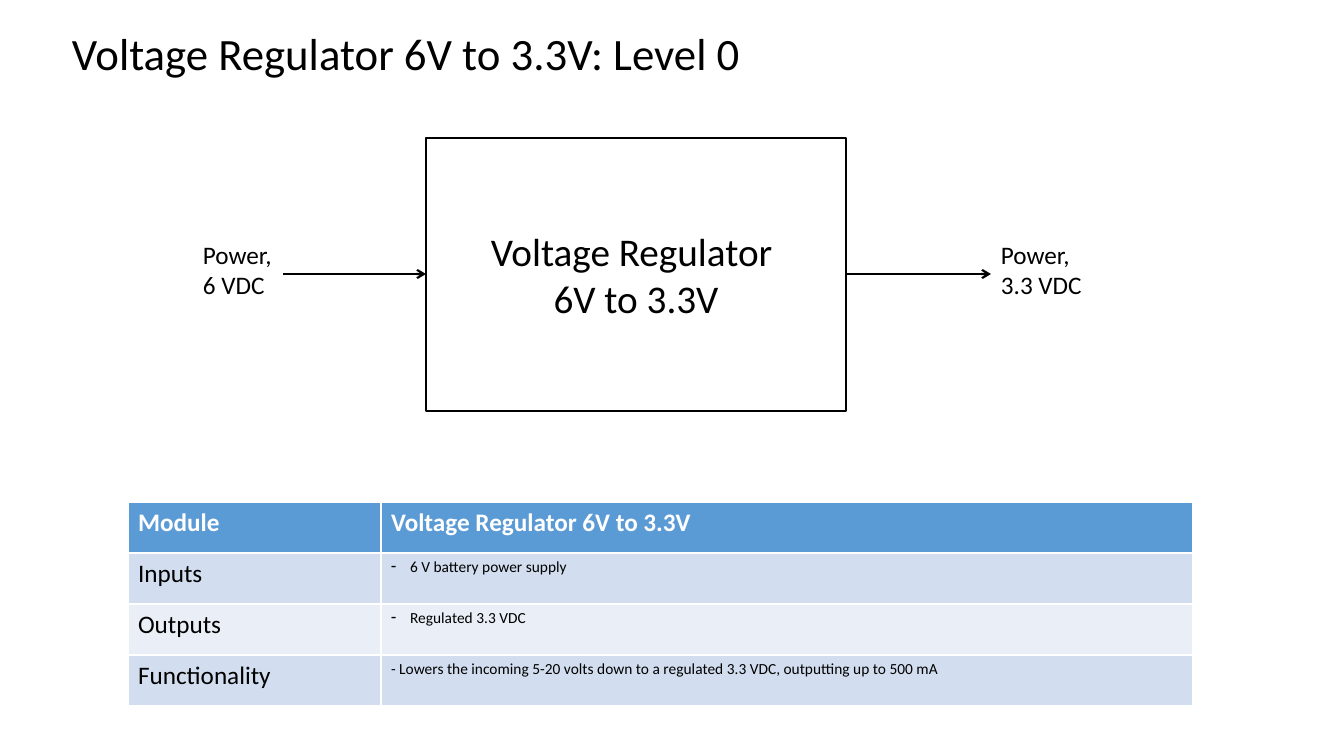
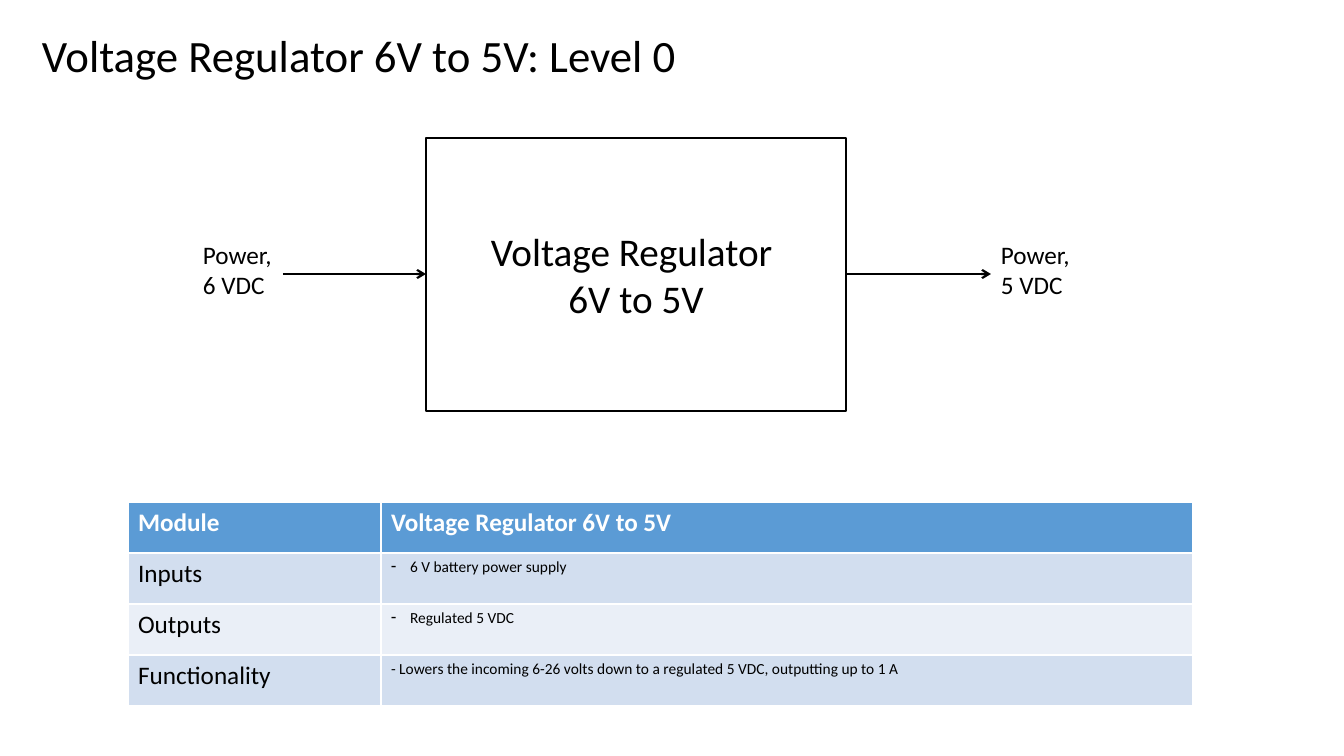
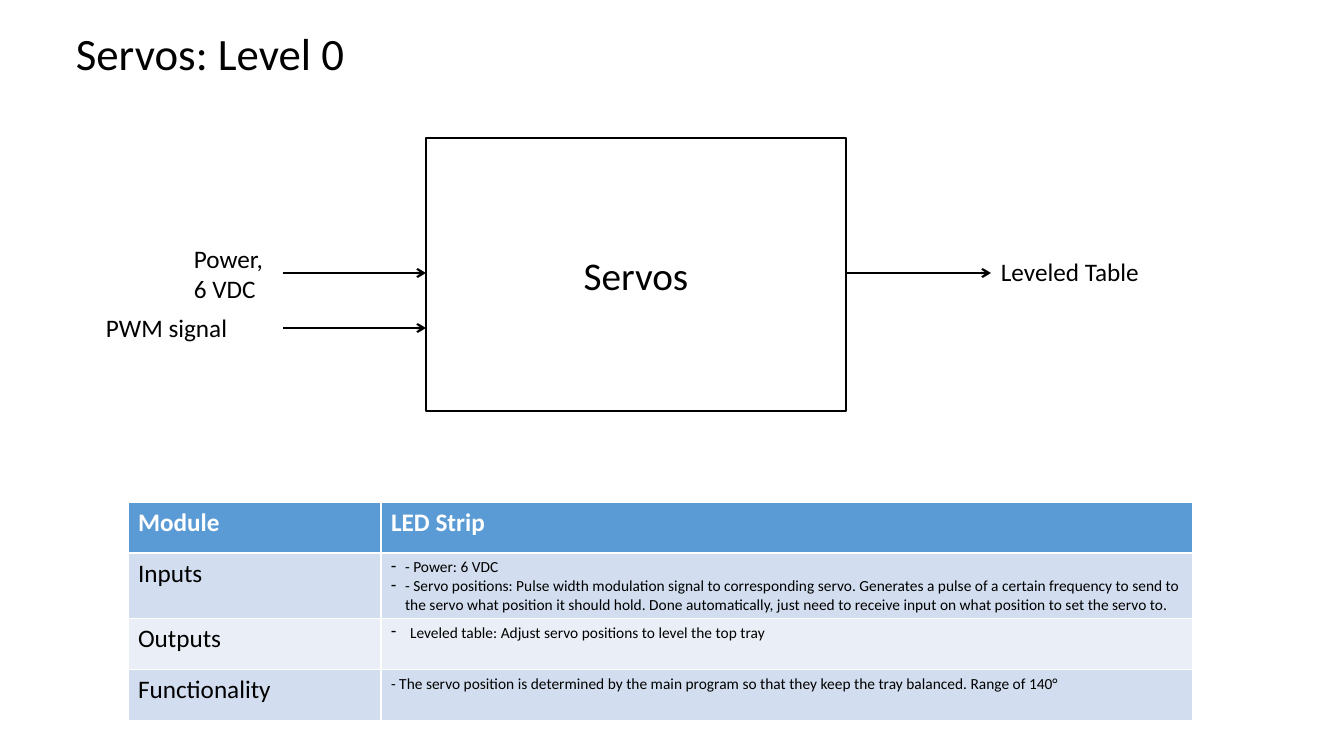
from lxml import etree
from pptx import Presentation
from pptx.dml.color import RGBColor
from pptx.enum.shapes import MSO_CONNECTOR, MSO_SHAPE
from pptx.enum.text import MSO_AUTO_SIZE, PP_ALIGN
from pptx.oxml.ns import qn
from pptx.util import Pt

RECTANGLE = MSO_SHAPE.RECTANGLE
STRAIGHT = MSO_CONNECTOR.STRAIGHT
FIT_SHAPE = MSO_AUTO_SIZE.SHAPE_TO_FIT_TEXT
LEFT, CENTER = PP_ALIGN.LEFT, PP_ALIGN.CENTER

EMU_PER_PIXEL = 914400 / 100.8
FONT = "Calibri"
BLACK, WHITE = "000000", "FFFFFF"
HEADER_FILL = "5B9BD5"
BAND_FILLS = ("EAEFF7", "D2DEEF")

MODULE_BOX = (426, 138, 420, 273)
INPUT_ARROW = (283, 426)
OUTPUT_ARROW = (847, 991)
TABLE_LEFT, TABLE_TOP = 128, 502
COLUMN_WIDTHS = (253, 812)
ROW_HEIGHT = 51
ROW_NAMES = ("Module", "Inputs", "Outputs", "Functionality")


def px(value):
    """Turn pixels into EMU."""
    return round(value * EMU_PER_PIXEL)


def rgb(value):
    """Turn a hex string into a colour."""
    return RGBColor.from_string(value)


def write(frame, text, size=18, color=BLACK, bold=False, align=LEFT, hang=0):
    """Write lines as paragraphs; a hang in pixels gives them dash bullets."""
    for index, line in enumerate(text.split("\n")):
        paragraph = frame.add_paragraph() if index else frame.paragraphs[0]
        paragraph.alignment = align
        run = paragraph.add_run()
        run.text = line
        run.font.name = FONT
        run.font.size = Pt(size)
        run.font.bold = bold
        run.font.color.rgb = rgb(color)
        if hang:
            properties = paragraph._p.get_or_add_pPr()
            properties.set("marL", str(px(hang)))
            properties.set("indent", str(-px(hang)))
            etree.SubElement(properties, qn("a:buChar"), char="-")


def add_label(slide, box, text, wrap=False, **text_format):
    """Add a text box that fits its text."""
    frame = slide.shapes.add_textbox(*map(px, box)).text_frame
    frame.word_wrap = wrap
    frame.auto_size = FIT_SHAPE
    write(frame, text, **text_format)


def add_module(slide, text):
    """Add the outlined box that names the module."""
    shape = slide.shapes.add_shape(RECTANGLE, *map(px, MODULE_BOX))
    shape.shadow.inherit = False
    shape.fill.solid()
    shape.fill.fore_color.rgb = rgb(WHITE)
    shape.line.color.rgb = rgb(BLACK)
    shape.line.width = Pt(1.5)
    write(shape.text_frame, text, size=28, align=CENTER)


def add_arrow(slide, span, y):
    """Add a horizontal arrow across a span."""
    start, end = span
    connector = slide.shapes.add_connector(STRAIGHT, px(start), px(y), px(end), px(y))
    connector.line.color.rgb = rgb(BLACK)
    connector.line.width = Pt(1.5)
    etree.SubElement(connector.line._get_or_add_ln(), qn("a:tailEnd"), type="arrow")
    etree.SubElement(connector._element.spPr, qn("a:effectLst"))


def add_module_table(slide, heading, inputs, outputs, functionality, input_hang=19):
    """Add the table of module name, inputs, outputs and functionality."""
    table = slide.shapes.add_table(
        len(ROW_NAMES), len(COLUMN_WIDTHS), px(TABLE_LEFT), px(TABLE_TOP),
        px(sum(COLUMN_WIDTHS)), px(ROW_HEIGHT * len(ROW_NAMES))).table
    for column, width in zip(table.columns, COLUMN_WIDTHS):
        column.width = px(width)
    details = (heading, inputs, outputs, functionality)
    hangs = (0, input_hang, 19, 0)
    for index, row in enumerate(table.rows):
        row.height = px(ROW_HEIGHT)
        name_cell, detail_cell = row.cells
        for cell in row.cells:
            cell.fill.solid()
            cell.fill.fore_color.rgb = rgb(BAND_FILLS[index % 2] if index else HEADER_FILL)
        name_format = {} if index else {"color": WHITE, "bold": True}
        detail_format = {"size": 11, "hang": hangs[index]} if index else name_format
        write(name_cell.text_frame, ROW_NAMES[index], **name_format)
        write(detail_cell.text_frame, details[index], **detail_format)


def add_slide(presentation, title, title_box, module, wrap_title=False):
    """Add a blank slide with its title and module box."""
    slide = presentation.slides.add_slide(presentation.slide_layouts[6])
    add_label(slide, title_box, title, wrap=wrap_title, size=32)
    add_module(slide, module)
    return slide


def add_regulator_slide(presentation, volts, title_box, output_width, incoming, limit,
                        wrap_title=False):
    """Add the slide of a regulator from 6 V down to the given voltage."""
    conversion = f"6V to {volts}V"
    name = f"Voltage Regulator {conversion}"
    slide = add_slide(presentation, f"{name}: Level 0", title_box,
                      f"Voltage Regulator \n{conversion}", wrap_title)
    add_arrow(slide, INPUT_ARROW, 274)
    add_label(slide, (193, 234, 90, 72), "Power,\n6 VDC")
    add_arrow(slide, OUTPUT_ARROW, 274)
    add_label(slide, (991, 234, output_width, 72), f"Power,\n{volts} VDC")
    add_module_table(
        slide, name, "6 V battery power supply", f"Regulated {volts} VDC",
        f"- Lowers the incoming {incoming} volts down to a regulated {volts} VDC, "
        f"outputting up to {limit}")


def add_servo_slide(presentation):
    """Add the slide of the servos."""
    slide = add_slide(presentation, "Servos: Level 0", (66, 21, 291, 65), "Servos")
    add_arrow(slide, INPUT_ARROW, 273)
    add_label(slide, (184, 238, 96, 72), "Power, \n6 VDC")
    add_arrow(slide, INPUT_ARROW, 328)
    add_label(slide, (96, 307, 143, 40), "PWM signal")
    add_arrow(slide, OUTPUT_ARROW, 273)
    add_label(slide, (991, 251, 160, 40), "Leveled Table")
    add_module_table(
        slide, "LED Strip",
        "- Power: 6 VDC\n"
        "- Servo positions: Pulse width modulation signal to corresponding servo. "
        "Generates a pulse of a certain frequency to send to the servo what position "
        "it should hold. Done automatically, just need to receive input on what "
        "position to set the servo to.",
        "Leveled table: Adjust servo positions to level the top tray",
        "- The servo position is determined by the main program so that they keep "
        "the tray balanced. Range of 140° ",
        input_hang=14)


def main():
    """Build and save the presentation."""
    presentation = Presentation()
    presentation.slide_width = px(1344)
    presentation.slide_height = px(756)
    add_regulator_slide(presentation, "3.3", (62, 21, 1120, 65), 102, "5-20", "500 mA",
                        wrap_title=True)
    add_regulator_slide(presentation, "5", (32, 23, 661, 65), 90, "6-26", "1 A")
    add_servo_slide(presentation)
    presentation.save("out.pptx")


main()
